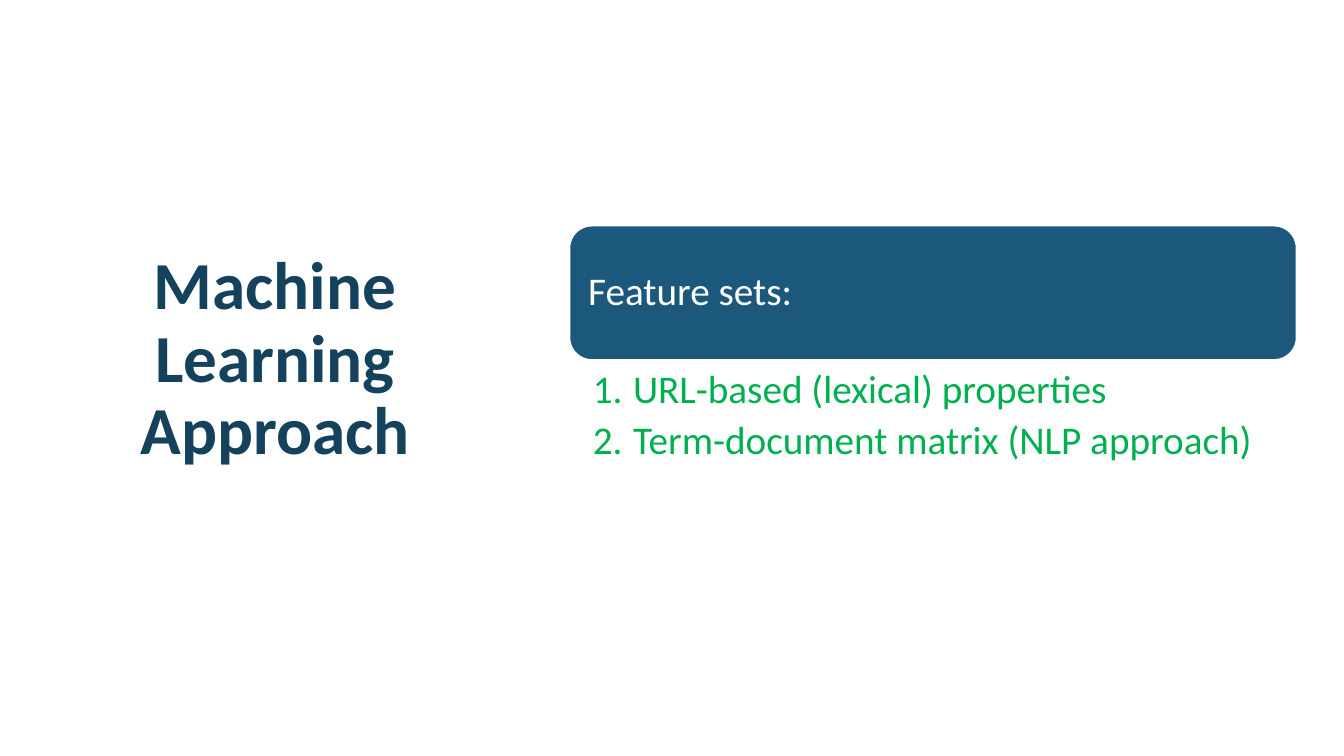
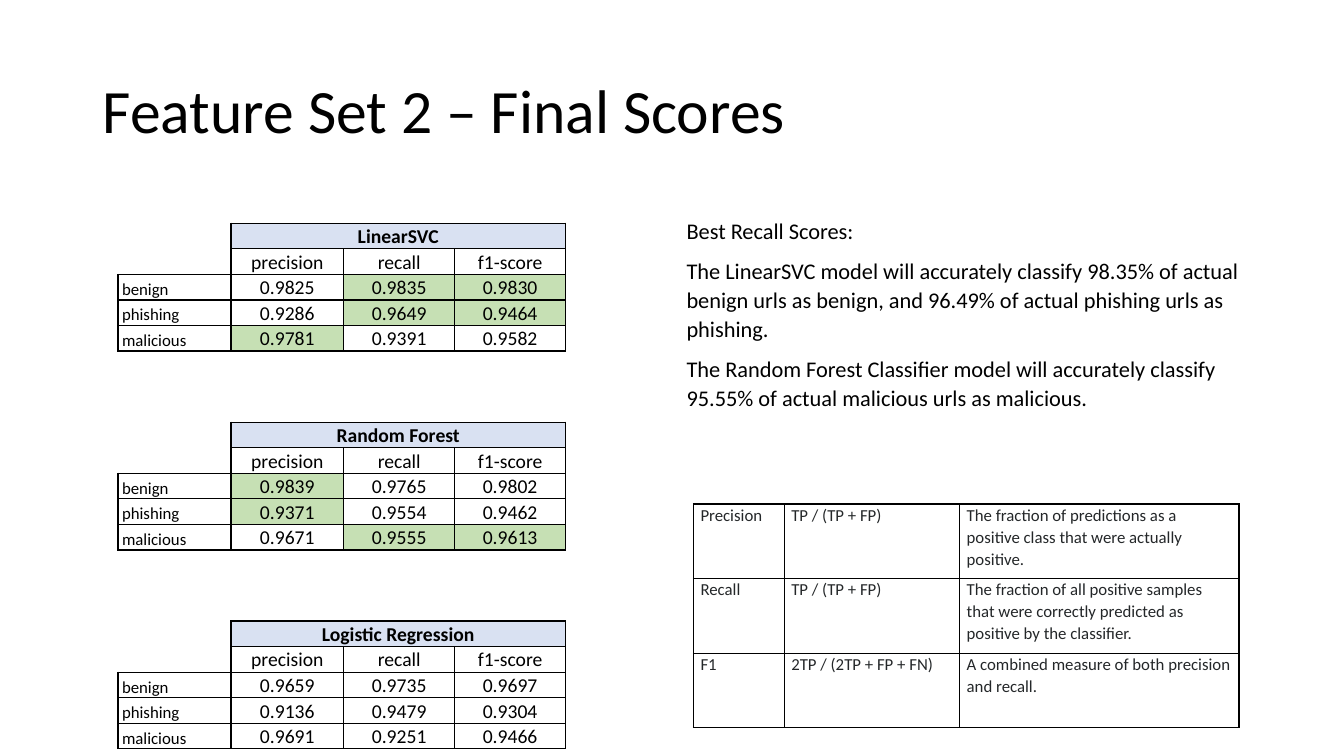
from lxml.etree import SubElement
from pptx import Presentation
from pptx.dml.color import RGBColor
from pptx.enum.shapes import MSO_SHAPE
from pptx.enum.text import MSO_ANCHOR, MSO_AUTO_SIZE, PP_ALIGN
from pptx.oxml import parse_xml
from pptx.oxml.ns import nsdecls, qn
from pptx.util import Inches, Pt

# Shared look
FONT = "Calibri"
BLACK, WHITE, NAVY, BLUE, GREEN = "000000", "FFFFFF", "14425D", "1B587C", "00B050"
HEADER_FILL, BEST_FILL, DEFINITION_TEXT = "D9E1F2", "C6E0B4", "242729"
PLAIN_TABLE_STYLE = "{2D5ABB26-0587-4C30-8999-92F81FD0307C}"
TITLE_SPACING, BODY_SPACING = 0.9, 1.07

presentation = Presentation()
presentation.slide_width, presentation.slide_height = Inches(13.33), Inches(7.5)


def frame(left, top, width, height):
    """Turn percentages of the slide into left, top, width and height."""
    across, down = presentation.slide_width / 100, presentation.slide_height / 100
    return int(left * across), int(top * down), int(width * across), int(height * down)


def write(text_frame, text, size, color, bold=False, align=PP_ALIGN.LEFT,
          spacing=BODY_SPACING, after=0):
    text_frame.text = text
    for paragraph in text_frame.paragraphs:
        paragraph.alignment = align
        paragraph.line_spacing = spacing
        paragraph.space_before, paragraph.space_after = Pt(0), Pt(after)
        for run in paragraph.runs:
            run.font.name, run.font.size, run.font.bold = FONT, Pt(size), bold
            run.font.color.rgb = RGBColor.from_string(color)


# Title and body placeholders of both slides
slides = []
for title, title_frame, size, color, bold, align, body_frame in [
    ("Machine Learning Approach", (4.88, 9.33, 31.2, 76.67), 48, NAVY, True,
     PP_ALIGN.CENTER, (42.38, 48.4, 54.08, 15.73)),
    ("Feature Set 2 – Final Scores", (6.9, 5.33, 86.25, 19.33), 44, BLACK, False,
     PP_ALIGN.LEFT, (50.33, 27.87, 43.13, 38.8)),
]:
    slide = presentation.slides.add_slide(presentation.slide_layouts[1])
    for shape, place in zip(slide.placeholders, (title_frame, body_frame)):
        shape.left, shape.top, shape.width, shape.height = frame(*place)
        shape.text_frame.auto_size = MSO_AUTO_SIZE.NONE
    slide.shapes.title.text_frame.vertical_anchor = MSO_ANCHOR.MIDDLE
    write(slide.shapes.title.text_frame, title, size, color, bold, align, TITLE_SPACING)
    slides.append(slide)
approach_slide, scores_slide = slides

# Slide 1: heading box
heading = approach_slide.shapes.add_shape(
    MSO_SHAPE.ROUNDED_RECTANGLE, *frame(42.38, 29.87, 54.08, 17.73))
heading.shadow.inherit = False
heading.fill.solid()
heading.fill.fore_color.rgb = RGBColor.from_string(BLUE)
heading.line.color.rgb = RGBColor.from_string(WHITE)
heading.line.width = Pt(1)
heading.text_frame.margin_left = heading.text_frame.margin_right = Inches(0.12)
heading.text_frame.vertical_anchor = MSO_ANCHOR.MIDDLE
write(heading.text_frame, "Feature sets:", 28, WHITE, spacing=TITLE_SPACING)

# Slide 1: numbered list
feature_list = approach_slide.placeholders[1].text_frame
feature_list.margin_left, feature_list.margin_right = Inches(0.23), Inches(0.22)
feature_list.margin_top = feature_list.margin_bottom = Inches(0.04)
write(feature_list, "URL-based (lexical) properties\nTerm-document matrix (NLP approach)",
      28, GREEN, spacing=TITLE_SPACING, after=5.6)
for paragraph in feature_list.paragraphs:
    properties = paragraph._p.get_or_add_pPr()
    properties.set("marL", str(Inches(0.4)))
    properties.set("indent", str(-Inches(0.4)))
    SubElement(properties, qn("a:buFont"), typeface="+mj-lt")
    SubElement(properties, qn("a:buAutoNum"), type="arabicPeriod")

# Slide 2: comments on recall
comments = scores_slide.placeholders[1].text_frame
write(comments, "\n".join([
    "Best Recall Scores:",
    "The LinearSVC model will accurately classify 98.35% of actual benign urls as benign, "
    "and 96.49% of actual phishing urls as phishing.",
    "The Random Forest Classifier model will accurately classify 95.55% of actual "
    "malicious urls as malicious.",
]), 16, BLACK, after=8)
for paragraph in comments.paragraphs:
    properties = paragraph._p.get_or_add_pPr()
    properties.set("marL", "0")
    properties.set("indent", "0")
    SubElement(properties, qn("a:buNone"))

# Slide 2: score rows, three blocks parted by blank rows
METRICS = ["precision", "recall", "f1-score"]
CLASSES = ["benign", "phishing", "malicious"]
SCORES = {
    "LinearSVC": [[0.9825, 0.9835, 0.9830], [0.9286, 0.9649, 0.9464],
                  [0.9781, 0.9391, 0.9582]],
    "Random Forest": [[0.9839, 0.9765, 0.9802], [0.9371, 0.9554, 0.9462],
                      [0.9671, 0.9555, 0.9613]],
    "Logistic Regression": [[0.9659, 0.9735, 0.9697], [0.9136, 0.9479, 0.9304],
                            [0.9691, 0.9251, 0.9466]],
}
BLOCK_ROWS = 8
score_rows = [[""] * 4 for _ in range(BLOCK_ROWS * len(SCORES) - 2)]
model_rows = range(1, len(score_rows), BLOCK_ROWS)
best_cells = set()
for top_row, (model, scores) in zip(model_rows, SCORES.items()):
    score_rows[top_row][1] = model
    score_rows[top_row + 1][1:] = METRICS
    for i, class_name in enumerate(CLASSES):
        row = top_row + 2 + i
        score_rows[row] = [class_name] + [f"{score:.4f}" for score in scores[i]]
        for j, score in enumerate(scores[i]):
            if score == max(other[i][j] for other in SCORES.values()):
                best_cells.add((row, j + 1))

# Slide 2: definition rows
definition_rows = [
    ["Precision", "TP / (TP + FP)",
     "The fraction of predictions as a positive class that were actually positive."],
    ["Recall", "TP / (TP + FP)",
     "The fraction of all positive samples that were correctly predicted as positive "
     "by the classifier."],
    ["F1", "2TP / (2TP + FP + FN)", "A combined measure of both precision and recall."],
]

# Slide 2: both tables
for rows, place, widths, is_scores in [
    (score_rows, (8.78, 26.4, 33.23, 69), [1.12, 1.12, 1.1, 1.1], True),
    (definition_rows, (51.6, 66.67, 40.65, 29.6), [0.9, 1.74, 2.77], False),
]:
    table = scores_slide.shapes.add_table(len(rows), len(widths), *frame(*place)).table
    table.first_row = table.horz_banding = False
    table._tbl.tblPr.find(qn("a:tableStyleId")).text = PLAIN_TABLE_STYLE
    for column, width in zip(table.columns, widths):
        column.width = Inches(width)

    for i, row in enumerate(rows):
        for j, text in enumerate(row):
            cell = table.cell(i, j)
            is_model = is_scores and i in model_rows and j > 0
            cell.margin_left = cell.margin_right = Inches(0.04 if is_scores else 0.07)
            cell.margin_top = cell.margin_bottom = 0
            if is_scores:
                cell.vertical_anchor = MSO_ANCHOR.BOTTOM
                align = PP_ALIGN.CENTER if j else PP_ALIGN.LEFT
                write(cell.text_frame, text, 14 if j else 12, BLACK, is_model, align)
            else:
                align = PP_ALIGN.LEFT if j else PP_ALIGN.JUSTIFY
                write(cell.text_frame, text, 12, DEFINITION_TEXT, align=align)
            if not text:
                SubElement(cell.text_frame.paragraphs[0]._p, qn("a:endParaRPr"), sz="800")
            if is_model or (is_scores and (i, j) in best_cells):
                cell.fill.solid()
                cell.fill.fore_color.rgb = RGBColor.from_string(
                    HEADER_FILL if is_model else BEST_FILL)
            if text or is_model:
                cell_properties = cell._tc.get_or_add_tcPr()
                for position, side in enumerate("LRTB"):
                    cell_properties.insert(position, parse_xml(
                        f'<a:ln{side} {nsdecls("a")} w="12700"><a:solidFill>'
                        f'<a:srgbClr val="{BLACK}"/></a:solidFill></a:ln{side}>'))

    if is_scores:
        for top_row in model_rows:
            table.cell(top_row, 0).merge(table.cell(top_row + 1, 0))
            table.cell(top_row, 1).merge(table.cell(top_row, 3))

presentation.save("out.pptx")
